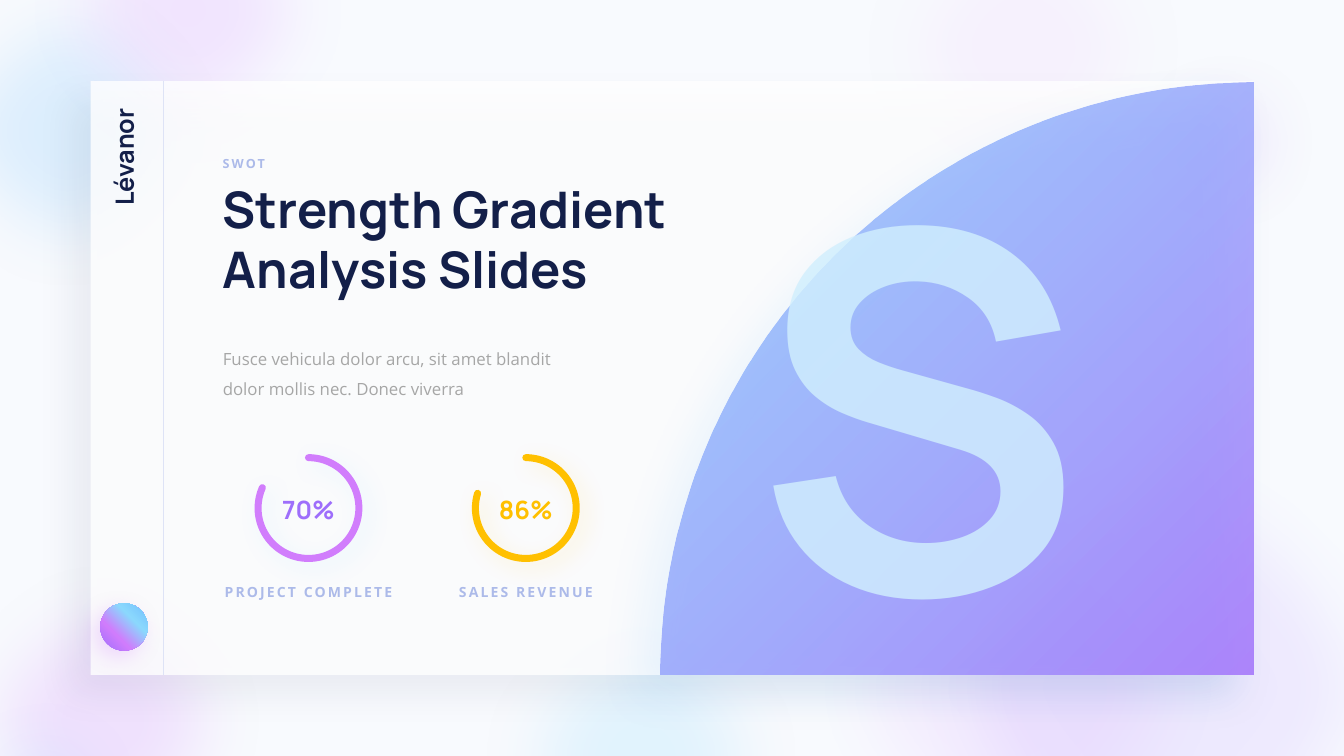
import math
from dataclasses import dataclass

import pptx
import pptx.dml.color
import pptx.enum.shapes
import pptx.enum.text
import pptx.oxml
import pptx.oxml.ns
import pptx.util

Pt = pptx.util.Pt
qn = pptx.oxml.ns.qn
SHAPE = pptx.enum.shapes.MSO_SHAPE
ALIGN = pptx.enum.text.PP_ALIGN
NAMESPACE = 'xmlns:a="http://schemas.openxmlformats.org/drawingml/2006/main"'

NAVY, PURPLE, ORCHID, SKY, BLUE = "131F49", "9E6EFB", "D17DFC", "8BD8FD", "72C0FD"
LAVENDER, YELLOW, PALE, GREY = "ACBAE9", "FFC000", "F8FAFE", "A6A6A6"
HEADING, BODY = "Manrope", "Open Sans"


@dataclass
class Blob:
    left: float
    top: float
    size: float
    color: str
    opacity: int


@dataclass
class Stop:
    position: int
    color: str
    opacity: int = 100


@dataclass
class Shadow:
    color: str
    opacity: int
    blur: int
    angle: int
    distance: int


@dataclass
class Style:
    size: float
    font: str
    color: str
    bold: bool = True
    spacing: int = 0


@dataclass
class Ring:
    value: str
    label: str
    end: float
    ring_color: str
    value_color: str
    shadow_color: str


BLOBS = [
    Blob(-172.8, -81.4, 536.4, BLUE, 20),
    Blob(0, -253.4, 536.4, ORCHID, 17),
    Blob(1561.7, 14.4, 376.6, PURPLE, 19),
    Blob(1270.1, 594.7, 774.7, PURPLE, 12),
    Blob(1123.9, 655.2, 659.5, ORCHID, 10),
    Blob(647.3, 811.4, 536.4, SKY, 20),
    Blob(1193, -200.2, 536.4, "F1CDFC", 20),
    Blob(-121.7, 761, 536.4, ORCHID, 20),
    Blob(-121.7, 940.3, 376.6, BLUE, 19),
]
RINGS = [
    Ring("70%", "PROJECT COMPLETE", 203.88, ORCHID, PURPLE, SKY),
    Ring("86%", "SALES REVENUE", 197.04, YELLOW, YELLOW, YELLOW),
]


def rgb(color: str) -> pptx.dml.color.RGBColor:
    return pptx.dml.color.RGBColor.from_string(color)


def color_xml(color: str, opacity: int) -> str:
    return f'<a:srgbClr val="{color}"><a:alpha val="{opacity * 1000}"/></a:srgbClr>'


def set_fill(fill, properties, stops: list[Stop], angle: int = 0) -> None:
    """Fill with one translucent colour, or with a linear gradient."""
    fill.solid()
    if len(stops) == 1:
        xml = f"<a:solidFill {NAMESPACE}>{color_xml(stops[0].color, stops[0].opacity)}</a:solidFill>"
    else:
        marks = "".join(f'<a:gs pos="{stop.position * 1000}">{color_xml(stop.color, stop.opacity)}</a:gs>'
                        for stop in stops)
        xml = (f'<a:gradFill {NAMESPACE} rotWithShape="1"><a:gsLst>{marks}</a:gsLst>'
               f'<a:lin ang="{angle * 60000}" scaled="0"/></a:gradFill>')
    properties.replace(properties.find(qn("a:solidFill")), pptx.oxml.parse_xml(xml))


def add_effect(shape, xml: str) -> None:
    shape.shadow.inherit = False
    shape._element.spPr.find(qn("a:effectLst")).append(pptx.oxml.parse_xml(xml))


def add_shadow(shape, shadow: Shadow) -> None:
    add_effect(shape, f'<a:outerShdw {NAMESPACE} blurRad="{Pt(shadow.blur)}" dist="{Pt(shadow.distance)}" '
                      f'dir="{shadow.angle * 60000}" algn="ctr" rotWithShape="0">'
                      f'{color_xml(shadow.color, shadow.opacity)}</a:outerShdw>')


def add_filled(page, kind, left: float, top: float, width: float, height: float,
               stops: list[Stop], angle: int = 0):
    shape = page.shapes.add_shape(kind, Pt(left), Pt(top), Pt(width), Pt(height))
    set_fill(shape.fill, shape._element.spPr, stops, angle)
    shape.line.fill.background()
    return shape


def write(box, text: str, style: Style, align=ALIGN.LEFT, wrap: bool = True) -> None:
    frame = box.text_frame
    frame.text = text
    frame.word_wrap = wrap
    frame.auto_size = pptx.enum.text.MSO_AUTO_SIZE.SHAPE_TO_FIT_TEXT
    frame.vertical_anchor = pptx.enum.text.MSO_ANCHOR.TOP
    para = frame.paragraphs[0]
    para.alignment = align
    para.space_before = Pt(0)
    span = para.runs[0]
    span.font.size, span.font.name, span.font.bold = Pt(style.size), style.font, style.bold
    span.font.color.rgb = rgb(style.color)
    if style.spacing:
        span._r.get_or_add_rPr().set("spc", str(style.spacing * 100))


def add_text(page, left: float, top: float, width: float, height: float, text: str,
             style: Style, align=ALIGN.LEFT, wrap: bool = True):
    box = page.shapes.add_textbox(Pt(left), Pt(top), Pt(width), Pt(height))
    write(box, text, style, align, wrap)
    return box


def place(page, box, left: float, top: float, width: float, height: float) -> None:
    """Move a placeholder to its position and in front of the shapes drawn so far."""
    box.left, box.top, box.width, box.height = Pt(left), Pt(top), Pt(width), Pt(height)
    page.shapes._spTree.append(box._element)


def add_quarter_disc(page, left: float, top: float, right: float, bottom: float) -> None:
    steps = 120
    angles = [math.pi / 2 * step / steps for step in range(steps + 1)]
    arc = [(Pt(right - (right - left) * math.cos(angle)),
            Pt(bottom - (bottom - top) * math.sin(angle))) for angle in angles]
    builder = page.shapes.build_freeform(Pt(right), Pt(bottom), scale=1.0)
    builder.add_line_segments(arc, close=True)
    disc = builder.convert_to_shape()
    set_fill(disc.fill, disc._element.spPr, [Stop(0, PURPLE, 83), Stop(100, BLUE, 64)], 225)
    disc.line.fill.background()
    add_shadow(disc, Shadow("1898FC", 10, 64, 135, 40))


def add_ring(page, ring: Ring, center: float) -> None:
    arc = page.shapes.add_shape(SHAPE.ARC, Pt(center - 72), Pt(653.8), Pt(144), Pt(144))
    # Arc angles are stored in 60000ths of a degree, adjustments in 100000ths
    arc.adjustments[0], arc.adjustments[1] = 270 * 0.6, ring.end * 0.6
    arc.fill.background()
    arc.line.color.rgb = rgb(ring.ring_color)
    arc.line.width = Pt(10)
    arc._element.spPr.find(qn("a:ln")).set("cap", "rnd")
    add_shadow(arc, Shadow(ring.shadow_color, 17, 31, 45, 12))
    add_text(page, center - 50, 702.7, 100, 51.1, ring.value,
             Style(36, HEADING, ring.value_color), ALIGN.CENTER)
    add_text(page, center - 130, 830.2, 260, 31.7, ring.label,
             Style(20, BODY, LAVENDER, spacing=3), ALIGN.CENTER, wrap=False)


def main() -> None:
    deck = pptx.Presentation()
    deck.slide_width, deck.slide_height = Pt(1919.5), Pt(1080)
    page = deck.slides.add_slide(deck.slide_layouts[1])
    page.background.fill.solid()
    page.background.fill.fore_color.rgb = rgb(PALE)

    # Blurred background and card
    for blob in BLOBS:
        shape = add_filled(page, SHAPE.OVAL, blob.left, blob.top, blob.size, blob.size,
                           [Stop(0, blob.color, blob.opacity)])
        add_effect(shape, f'<a:softEdge {NAMESPACE} rad="{Pt(100)}"/>')
    card = add_filled(page, SHAPE.RECTANGLE, 129.6, 115.9, 1661, 848.2, [Stop(0, "FFFFFF", 80)])
    add_shadow(card, Shadow(NAVY, 8, 51, 135, 40))

    # Quarter disc with the large letter
    add_quarter_disc(page, 943.2, 117.4, 1790.6, 964.1)
    letter = add_text(page, 1069.9, 128.9, 460.8, 872.6, "S",
                      Style(714, HEADING, "D1EFFE"), ALIGN.CENTER)
    span = letter.text_frame.paragraphs[0].runs[0]
    set_fill(span.font.fill, span._r.rPr, [Stop(0, "D1EFFE", 81), Stop(100, PALE)], 225)

    # Side strip
    divider = page.shapes.add_connector(pptx.enum.shapes.MSO_CONNECTOR.STRAIGHT,
                                        Pt(232.6), Pt(115.2), Pt(232.6), Pt(964.8))
    divider.line.color.rgb = rgb("DEE3F6")
    divider.line.width = Pt(0.5)
    divider._element.spPr.append(pptx.oxml.parse_xml(f"<a:effectLst {NAMESPACE}/>"))
    dot = add_filled(page, SHAPE.OVAL, 143.3, 861.8, 67.7, 67.7,
                     [Stop(0, PURPLE), Stop(34, ORCHID), Stop(67, SKY), Stop(100, BLUE)], 315)
    add_shadow(dot, Shadow(ORCHID, 26, 31, 135, 12))
    brand = add_text(page, 87.1, 185.1, 180, 51.1, "Lévanor", Style(36, HEADING, NAVY))
    brand.rotation = 270

    # Title and introduction
    title, intro = page.shapes.title, page.placeholders[1]
    place(page, title, 311, 250.6, 691.2, 181.4)
    write(title, "Strength Gradient Analysis Slides", Style(72, HEADING, NAVY))
    add_text(page, 311, 218.9, 79.2, 28.8, "SWOT", Style(18, BODY, LAVENDER, spacing=3), wrap=False)
    place(page, intro, 311, 480.5, 521.3, 90)
    write(intro, "Fusce vehicula dolor arcu, sit amet blandit dolor mollis nec. Donec viverra",
          Style(24, BODY, GREY, bold=False))
    para = intro.text_frame.paragraphs[0]
    para.line_spacing = 1.5
    properties = para._p.get_or_add_pPr()
    properties.set("marL", "0")
    properties.set("indent", "0")
    properties.append(pptx.oxml.parse_xml(f"<a:buNone {NAMESPACE}/>"))

    # Progress rings
    for index, ring in enumerate(RINGS):
        add_ring(page, ring, 440.6 + 310.4 * index)

    deck.save("out.pptx")


if __name__ == "__main__":
    main()
